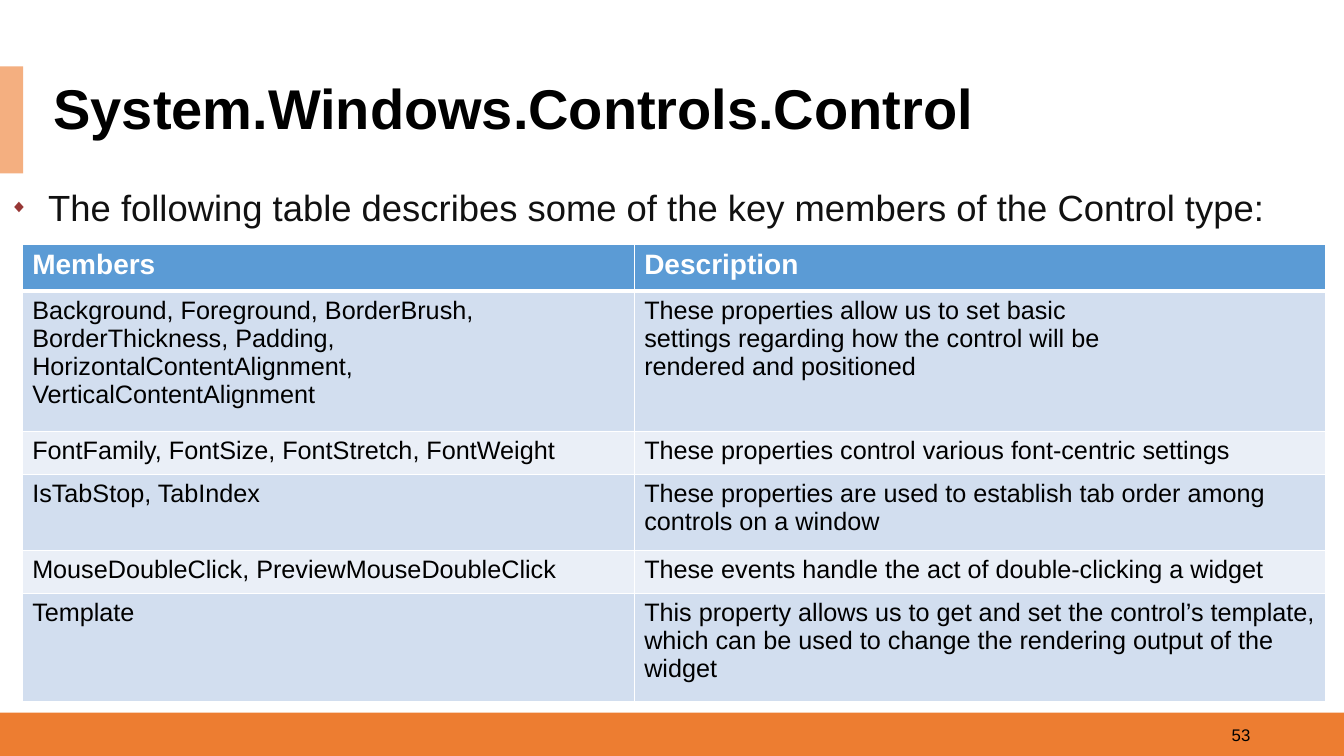
from lxml.etree import SubElement
from pptx import Presentation
from pptx.dml.color import RGBColor
from pptx.enum.shapes import MSO_SHAPE
from pptx.enum.text import MSO_ANCHOR, PP_ALIGN
from pptx.oxml.ns import qn
from pptx.util import Emu, Inches, Pt

TITLE = "System.Windows.Controls.Control"
LEAD = "The following table describes some of the key members of the Control type:"
PAGE = "53"
ROWS = [
    ("Members", "Description"),
    ("Background, Foreground, BorderBrush, BorderThickness, Padding, "
     "HorizontalContentAlignment, VerticalContentAlignment",
     "These properties allow us to set basic\n"
     "settings regarding how the control will be\n"
     "rendered and positioned"),
    ("FontFamily, FontSize, FontStretch, FontWeight",
     "These properties control various font-centric settings"),
    ("IsTabStop, TabIndex",
     "These properties are used to establish tab order among controls on a window"),
    ("MouseDoubleClick, PreviewMouseDoubleClick",
     "These events handle the act of double-clicking a widget"),
    ("Template",
     "This property allows us to get and set the control’s template, "
     "which can be used to change the rendering output of the widget"),
]
WIDTHS = (6.07, 6.86)
HEIGHTS = (0.47, 1.39, 0.43, 0.75, 0.43, 1.07)

THEME = {
    "font": "Arial",
    "white": "FFFFFF", "black": "000000", "ink": "111111",
    "foot": "ED7D31", "tab": "F4AF80", "mark": "973735",
    "head": "5B9BD5", "bands": ("EAEFF7", "D2DEEF"),
    "title": 40, "lead": 26, "header": 20, "cell": 18, "page": 12,
}
WIDE, HIGH = 13.33, 7.5
FOOT = (0, 7.07, WIDE, HIGH - 7.07)
TAB = (0, 0.66, 0.23, 1.06)
HEAD = (0.43, 0.79, 12.71, 0.63)
INTRO = (0, 1.57, 13.26, 0.68)
GRID = (0.22, 2.42, sum(WIDTHS), sum(HEIGHTS))
NUMBER = (9.5, 7.09, 3, 0.4)


def color(name):
    return RGBColor.from_string(THEME.get(name, name))


def paint(item, name):
    item.fill.solid()
    item.fill.fore_color.rgb = color(name)


def write(frame, text, size, ink="black", bold=False, **format):
    """Fill a text frame, one paragraph a line, all in one style."""
    frame.text = text
    frame.word_wrap = True
    for para in frame.paragraphs:
        for key, value in format.items():
            setattr(para, key, value)
        font = para.runs[0].font
        font.color.rgb = color(ink)
        look = {"name": THEME["font"], "size": Pt(THEME[size]), "bold": bold}
        for key, value in look.items():
            setattr(font, key, value)


def block(slide, box, name):
    shape = slide.shapes.add_shape(MSO_SHAPE.RECTANGLE, *map(Inches, box))
    shape.shadow.inherit = False
    shape.line.fill.background()
    paint(shape, name)


def bullet(para):
    """Hang a small diamond in front of the paragraph."""
    props = para._p.get_or_add_pPr()
    props.set("marL", str(Inches(0.38)))
    props.set("indent", str(-Inches(0.38)))
    tint = SubElement(props, qn("a:buClr"))
    SubElement(tint, qn("a:srgbClr"), val=THEME["mark"])
    SubElement(props, qn("a:buSzPct"), val="50000")
    SubElement(props, qn("a:buFont"), typeface=THEME["font"])
    SubElement(props, qn("a:buChar"), char="◆")
    tabs = SubElement(props, qn("a:tabLst"))
    SubElement(tabs, qn("a:tab"), pos=str(Inches(0.26)), algn="l")


def border(cell, top, base):
    """Draw white cell borders; top and base are widths in points."""
    props = cell._tc.get_or_add_tcPr()
    for spot, (side, width) in enumerate(zip("LRTB", (1, 1, top, base))):
        line = props.makeelement(qn("a:ln" + side), {"w": str(Pt(width))})
        fill = SubElement(line, qn("a:solidFill"))
        SubElement(fill, qn("a:srgbClr"), val=THEME["white"])
        props.insert(spot, line)


def build_grid(slide):
    frame = slide.shapes.add_table(len(ROWS), len(WIDTHS), *map(Inches, GRID))
    table = frame.table
    for col, width in zip(table.columns, WIDTHS):
        col.width = Inches(width)
    for r, (row, texts) in enumerate(zip(table.rows, ROWS)):
        row.height = Inches(HEIGHTS[r])
        for cell, text in zip(row.cells, texts):
            if r == 0:
                write(cell.text_frame, text, "header", "white", True)
                paint(cell, "head")
            else:
                write(cell.text_frame, text, "cell")
                paint(cell, THEME["bands"][r % 2])
            border(cell, 3 if r == 1 else 1, 3 if r == 0 else 1)


def main():
    deck = Presentation()
    deck.slide_width, deck.slide_height = Inches(WIDE), Inches(HIGH)
    slide = deck.slides.add_slide(deck.slide_layouts[5])

    block(slide, FOOT, "foot")
    block(slide, TAB, "tab")

    title = slide.shapes.title
    for key, value in zip(("left", "top", "width", "height"), HEAD):
        setattr(title, key, Emu(Inches(value)))
    paint(title, "white")
    write(title.text_frame, TITLE, "title", bold=True,
          alignment=PP_ALIGN.LEFT, line_spacing=0.9)
    title.text_frame.vertical_anchor = MSO_ANCHOR.MIDDLE

    build_grid(slide)

    lead = slide.shapes.add_textbox(*map(Inches, INTRO)).text_frame
    write(lead, LEAD, "lead", "ink", alignment=PP_ALIGN.JUSTIFY,
          line_spacing=1.5, space_before=Pt(10))
    bullet(lead.paragraphs[0])

    page = slide.shapes.add_textbox(*map(Inches, NUMBER)).text_frame
    write(page, PAGE, "page", alignment=PP_ALIGN.RIGHT)
    page.vertical_anchor = MSO_ANCHOR.MIDDLE

    deck.save("out.pptx")


if __name__ == "__main__":
    main()
